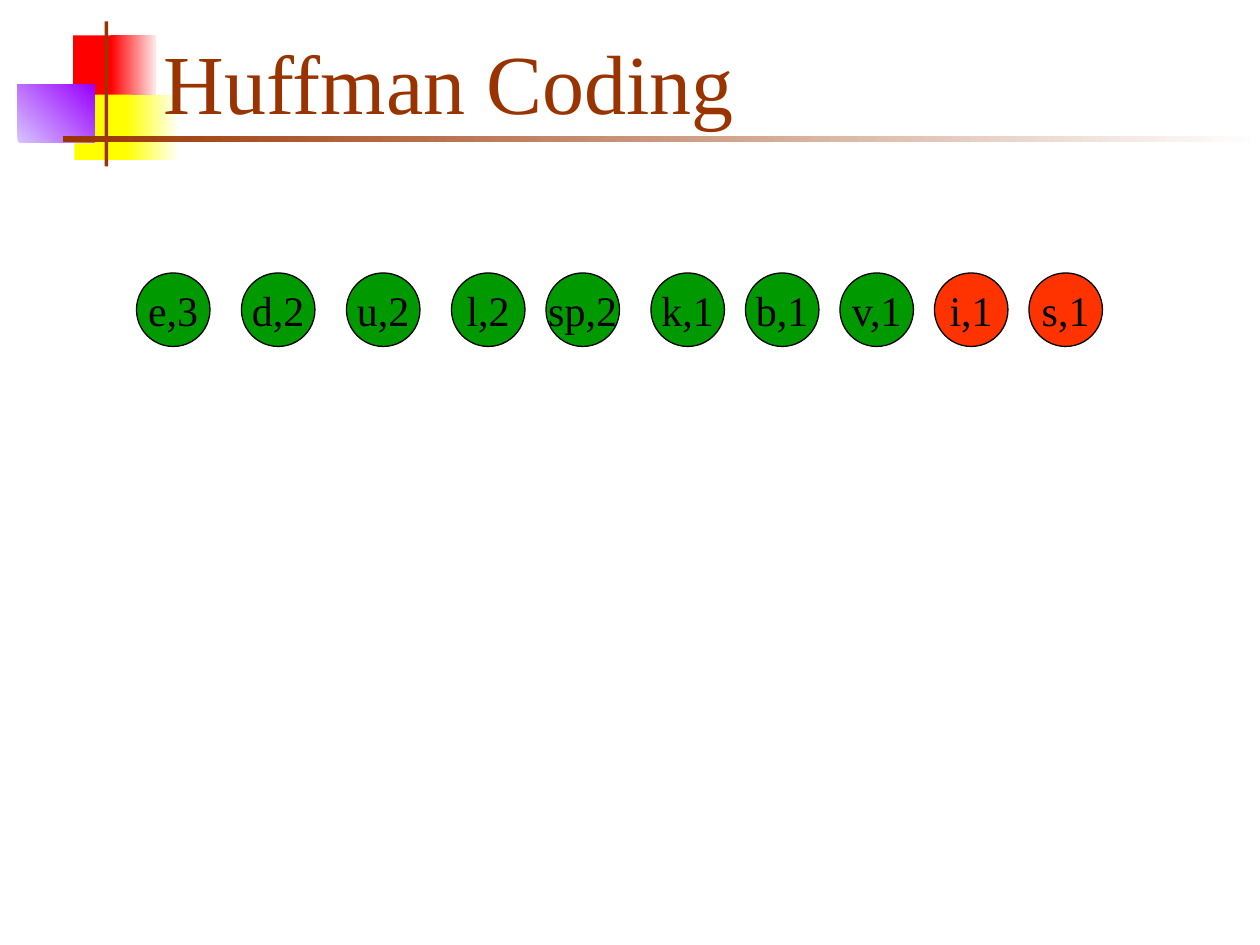
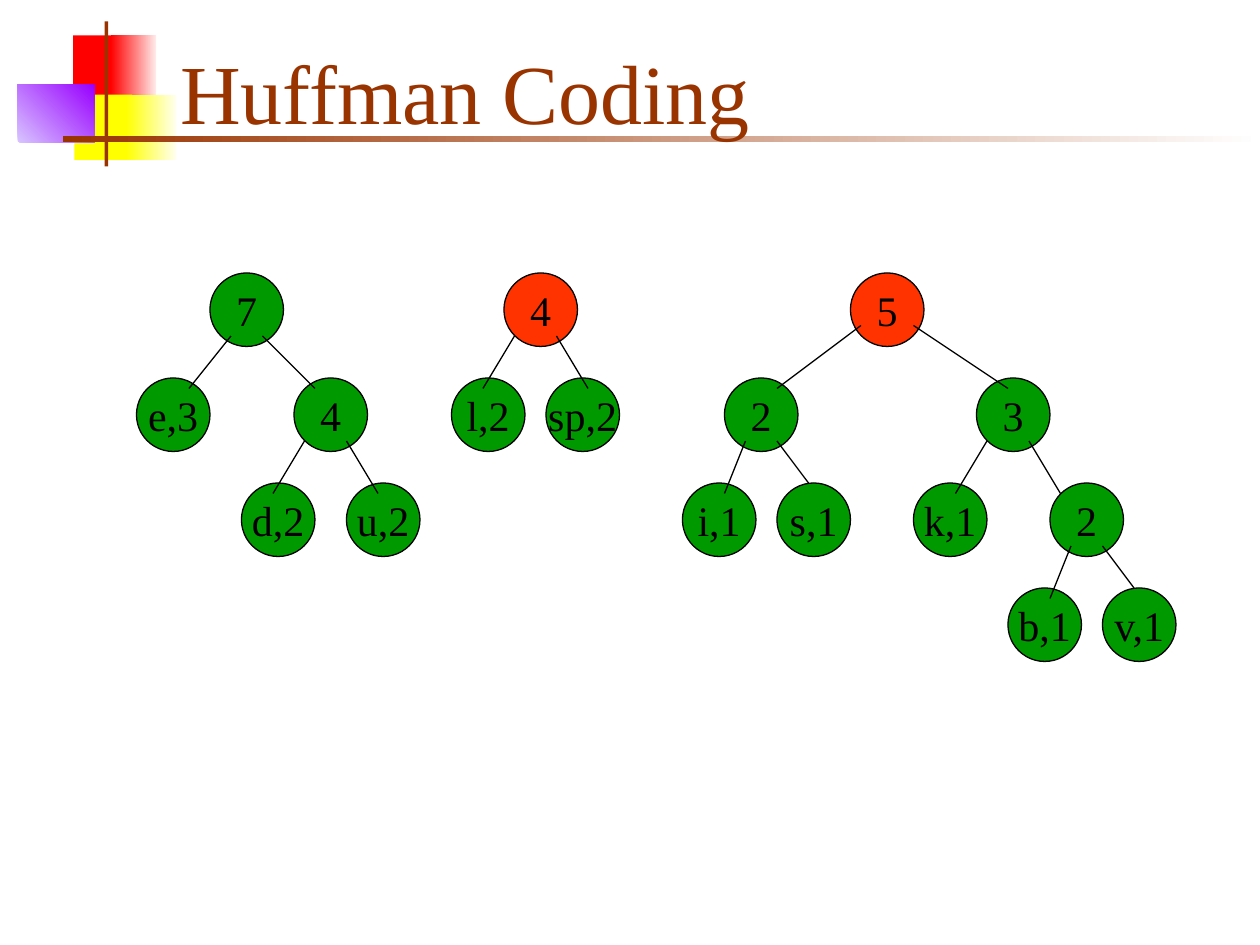
"""Builds two slides on Huffman coding: the sorted leaves and a later merge step."""
from dataclasses import dataclass

import lxml.etree
import pptx
import pptx.dml.color
import pptx.enum.shapes
import pptx.enum.text
import pptx.oxml.ns
import pptx.util

Inches = pptx.util.Inches
Pt = pptx.util.Pt
MSO_SHAPE = pptx.enum.shapes.MSO_SHAPE
ANCHOR = pptx.enum.text.MSO_ANCHOR
ALIGN = pptx.enum.text.PP_ALIGN


@dataclass(frozen=True)
class Theme:
    """Colours, font and sizes shared by both slides."""
    font: str = "Times New Roman"
    title_size: int = 48
    node_size: int = 24
    line_width: float = 0.75
    brown: str = "993300"
    red: str = "FF0000"
    pale_red: str = "FFEAEA"
    yellow: str = "FFFF00"
    pale_yellow: str = "FFFFF0"
    violet: str = "9900FF"
    pale_violet: str = "D8C4FF"
    white: str = "FFFFFF"
    black: str = "000000"
    node: str = "009900"
    picked: str = "FF3300"


THEME = Theme()

# Diagram positions are counted in twelfths of an inch.
CELL = 1 / 12
DIAMETER = 7
TOP = 26
LEVEL_STEP = 10

# Label, left column, level, whether it is picked for the next merge
SORTED_LEAVES = [
    ("e,3", 13, 0, False), ("d,2", 23, 0, False), ("u,2", 33, 0, False),
    ("l,2", 43, 0, False), ("sp,2", 52, 0, False), ("k,1", 62, 0, False),
    ("b,1", 71, 0, False), ("v,1", 80, 0, False),
    ("i,1", 89, 0, True), ("s,1", 98, 0, True),
]
TREE_NODES = [
    ("7", 20, 0, False), ("e,3", 13, 1, False), ("4", 28, 1, False),
    ("d,2", 23, 2, False), ("u,2", 33, 2, False),
    ("4", 48, 0, True), ("l,2", 43, 1, False), ("sp,2", 52, 1, False),
    ("5", 81, 0, True), ("2", 69, 1, False), ("3", 93, 1, False),
    ("i,1", 65, 2, False), ("s,1", 74, 2, False),
    ("k,1", 87, 2, False), ("2", 100, 2, False),
    ("b,1", 96, 3, False), ("v,1", 105, 3, False),
]
# Parent level, start column, end column, start and end below the parent's top
TREE_EDGES = [
    (0, 22, 18, 6, 11), (0, 25, 30, 6, 11),
    (1, 29, 26, 6, 11), (1, 33, 36, 6, 11),
    (0, 49, 46, 6, 11), (0, 53, 56, 6, 11),
    (0, 82, 74, 5, 11), (0, 87, 96, 5, 11),
    (1, 71, 69, 6, 11), (1, 74, 77, 6, 10),
    (1, 94, 91, 6, 11), (1, 98, 101, 6, 11),
    (2, 102, 100, 6, 11), (2, 105, 108, 6, 10),
]


def rgb(value):
    """Turn a hex string into a colour."""
    return pptx.dml.color.RGBColor.from_string(value)


def grid(cells):
    """Turn grid cells into a length."""
    return Inches(cells * CELL)


def write_text(tf, text, *, size, color, align, anchor, wrap=True):
    """Put one formatted line into a text frame."""
    tf.word_wrap = wrap
    tf.auto_size = pptx.enum.text.MSO_AUTO_SIZE.NONE
    tf.vertical_anchor = anchor
    p = tf.paragraphs[0]
    p.alignment = align
    r = p.add_run()
    r.text = text
    r.font.name = THEME.font
    r.font.size = Pt(size)
    r.font.color.rgb = rgb(color)


def add_bar(s, box, color, end_color=None, angle=0):
    """Add a borderless rectangle, plain or fading to end_color."""
    sp = s.shapes.add_shape(MSO_SHAPE.RECTANGLE, *map(Inches, box))
    sp.shadow.inherit = False
    sp.line.fill.background()
    if end_color is None:
        sp.fill.solid()
        sp.fill.fore_color.rgb = rgb(color)
    else:
        sp.fill.gradient()
        sp.fill.gradient_angle = angle
        for stop, value in zip(sp.fill.gradient_stops, (color, end_color)):
            stop.color.rgb = rgb(value)
    return sp


def decorate_layout(layout, s):
    """Draw the corner blocks and title rule, then move them to the layout."""
    bars = [
        add_bar(s, (0.58, 0.28, 0.35, 0.52), THEME.red),
        add_bar(s, (0.88, 0.28, 0.36, 0.52), THEME.red, THEME.pale_red),
        add_bar(s, (0.59, 0.75, 0.46, 0.52), THEME.yellow),
        add_bar(s, (1, 0.75, 0.4, 0.52), THEME.yellow, THEME.pale_yellow),
        add_bar(s, (0.14, 0.67, 0.61, 0.46), THEME.pale_violet, THEME.violet, 45),
        add_bar(s, (0.83, 0.17, 0.03, 1.15), THEME.brown),
        add_bar(s, (0.5, 1.08, 9.5, 0.05), THEME.brown, THEME.white),
    ]
    for sp in bars:
        layout.shapes.element.append(sp.element)


def add_title(s, text, left, top):
    """Place and format the title placeholder."""
    title = s.shapes.title
    title.left, title.top = Inches(left), Inches(top)
    title.width, title.height = Inches(8.52), Inches(0.92)
    write_text(title.text_frame, text, size=THEME.title_size,
               color=THEME.brown, align=ALIGN.LEFT, anchor=ANCHOR.BOTTOM)


def add_node(s, label, column, level, picked):
    """Add one round tree node."""
    sp = s.shapes.add_shape(MSO_SHAPE.OVAL, grid(column),
                            grid(TOP + level * LEVEL_STEP),
                            grid(DIAMETER), grid(DIAMETER))
    sp.shadow.inherit = False
    sp.fill.solid()
    sp.fill.fore_color.rgb = rgb(THEME.picked if picked else THEME.node)
    sp.line.color.rgb = rgb(THEME.black)
    sp.line.width = Pt(THEME.line_width)
    write_text(sp.text_frame, label, size=THEME.node_size, color=THEME.black,
               align=ALIGN.CENTER, anchor=ANCHOR.MIDDLE, wrap=False)


def add_edge(s, level, start, end, drop_start, drop_end):
    """Add one line from a parent node to its child."""
    top = TOP + level * LEVEL_STEP
    line = s.shapes.add_connector(
        pptx.enum.shapes.MSO_CONNECTOR.STRAIGHT,
        grid(start), grid(top + drop_start), grid(end), grid(top + drop_end))
    line.line.color.rgb = rgb(THEME.black)
    line.line.width = Pt(THEME.line_width)
    lxml.etree.SubElement(line.element.spPr, pptx.oxml.ns.qn("a:effectLst"))


def main():
    """Build and save the deck."""
    prs = pptx.Presentation()
    prs.slide_width, prs.slide_height = Inches(10), Inches(7.5)
    layout = prs.slide_layouts.get_by_name("Title Only")

    leaves = prs.slides.add_slide(layout)
    decorate_layout(layout, leaves)
    add_title(leaves, "Huffman Coding", 1.2, 0.17)
    for node in SORTED_LEAVES:
        add_node(leaves, *node)

    trees = prs.slides.add_slide(layout)
    add_title(trees, "Huffman Coding", 1.33, 0.25)
    for node in TREE_NODES:
        add_node(trees, *node)
    for edge in TREE_EDGES:
        add_edge(trees, *edge)

    prs.save("out.pptx")


main()
